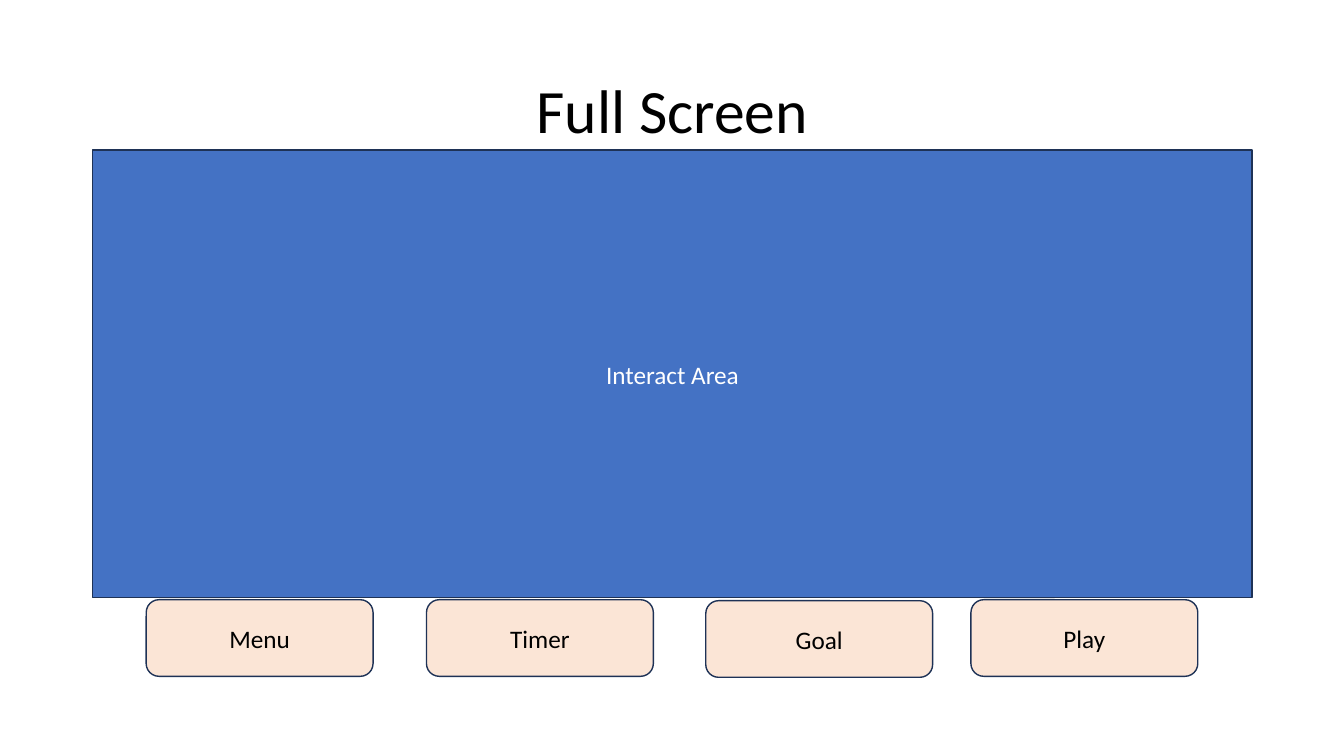
"""Build a screen layout slide: an interaction area above a row of four buttons."""
from dataclasses import dataclass

from pptx import Presentation
from pptx.dml.color import RGBColor
from pptx.enum.shapes import MSO_SHAPE
from pptx.enum.text import MSO_ANCHOR, PP_ALIGN
from pptx.util import Inches, Pt


@dataclass(frozen=True)
class Theme:
    font: str = "Calibri"
    title_size: int = 44
    label_size: int = 18
    dark_text: str = "000000"
    light_text: str = "FFFFFF"
    area_fill: str = "4472C4"
    button_fill: str = "FBE5D6"
    outline: str = "1E3256"


theme = Theme()


def write_text(shape, text, size, color):
    text_frame = shape.text_frame
    text_frame.word_wrap = True
    text_frame.vertical_anchor = MSO_ANCHOR.MIDDLE
    text_frame.text = text
    paragraph = text_frame.paragraphs[0]
    paragraph.alignment = PP_ALIGN.CENTER
    font = paragraph.runs[0].font
    font.name = theme.font
    font.size = Pt(size)
    font.color.rgb = RGBColor.from_string(color)
    return paragraph


def add_panel(kind, left, top, width, height, fill, text, text_color):
    shape = slide.shapes.add_shape(
        kind, Inches(left), Inches(top), Inches(width), Inches(height)
    )
    shape.shadow.inherit = False
    shape.fill.solid()
    shape.fill.fore_color.rgb = RGBColor.from_string(fill)
    shape.line.color.rgb = RGBColor.from_string(theme.outline)
    shape.line.width = Pt(1)
    write_text(shape, text, theme.label_size, text_color)


presentation = Presentation()
presentation.slide_width = Inches(13.33)
presentation.slide_height = Inches(7.5)
slide = presentation.slides.add_slide(presentation.slide_layouts[6])

title = slide.shapes.add_textbox(Inches(0.92), Inches(0.4), Inches(11.5), Inches(1.45))
title_paragraph = write_text(title, "Full Screen", theme.title_size, theme.dark_text)
title_paragraph.line_spacing = 0.9

add_panel(
    MSO_SHAPE.RECTANGLE, 0.92, 1.49, 11.5, 4.44,
    theme.area_fill, "Interact Area", theme.light_text,
)

buttons = [
    ("Menu", 1.45, 5.95),
    ("Timer", 4.23, 5.95),
    ("Goal", 7, 5.96),
    ("Play", 9.63, 5.95),
]
for label, left, top in buttons:
    add_panel(
        MSO_SHAPE.ROUNDED_RECTANGLE, left, top, 2.25, 0.76,
        theme.button_fill, label, theme.dark_text,
    )

presentation.save("out.pptx")
